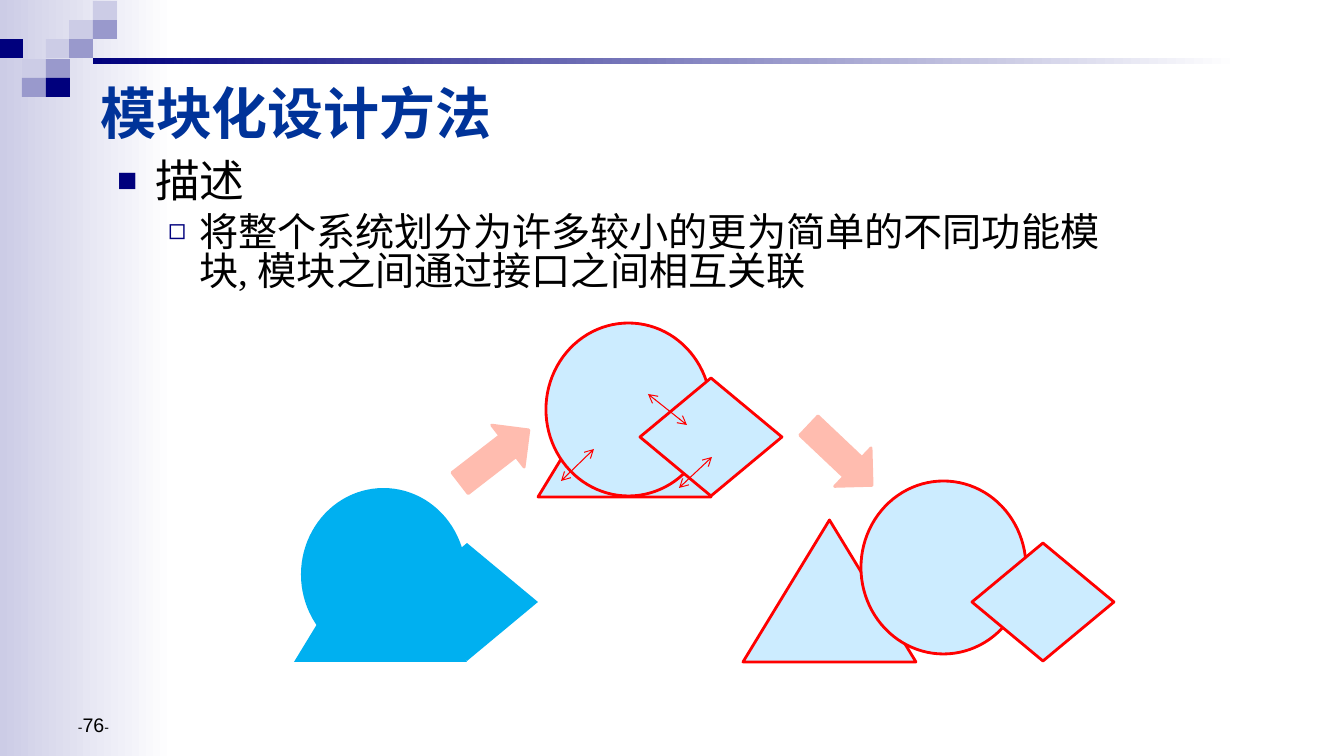
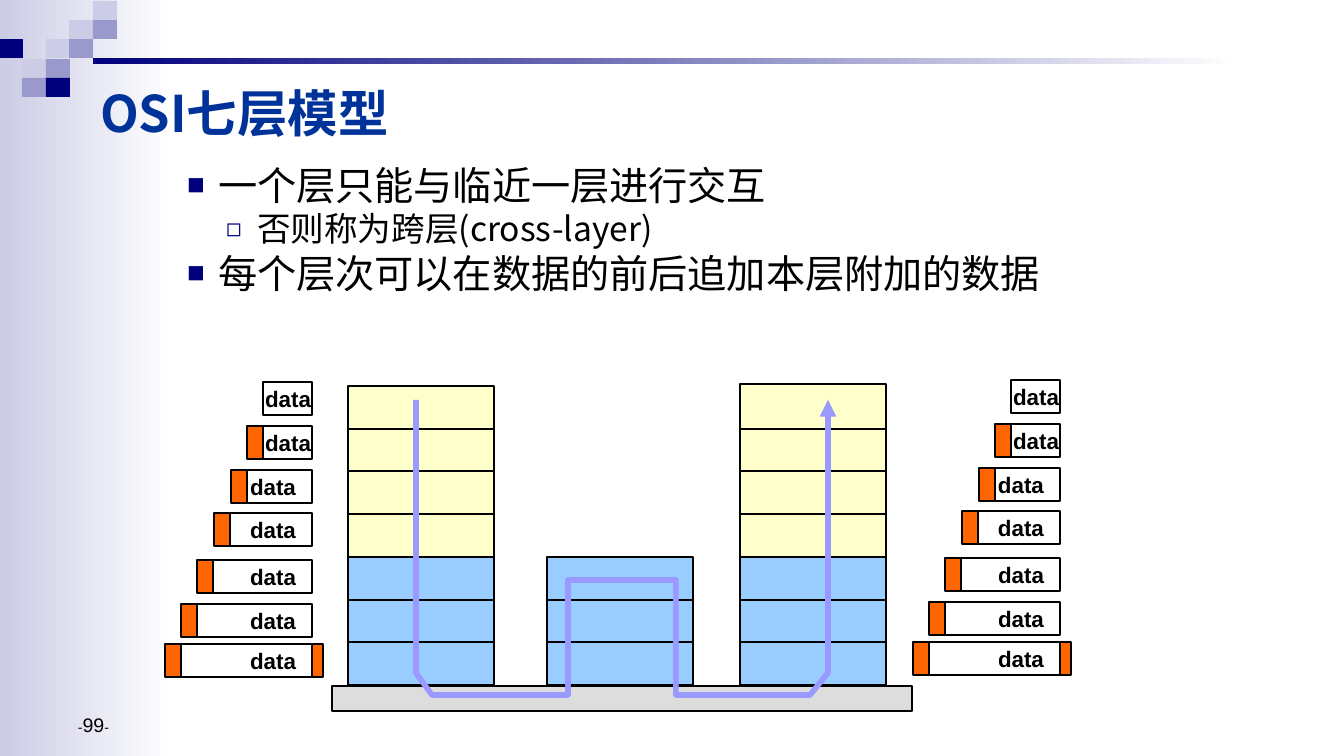
from pptx import Presentation
from pptx import util as u
from pptx.dml.color import RGBColor
from pptx.enum import shapes as sh, text as tx
from pptx.oxml import parse_xml
from pptx.oxml.ns import nsdecls

PX = 914400 / 100.8
NAVY = RGBColor(0x00, 0x00, 0x7D)
MID = RGBColor(0x99, 0x99, 0xCC)
PALE = RGBColor(0xCC, 0xCC, 0xE6)
WHITE = RGBColor(0xFF, 0xFF, 0xFF)
BLACK = RGBColor(0x00, 0x00, 0x00)
TITLE = RGBColor(0x00, 0x33, 0x99)
CYAN = RGBColor(0x00, 0xB0, 0xF0)
ICE = RGBColor(0xCC, 0xEC, 0xFF)
RED = RGBColor(0xFF, 0x00, 0x00)
PINK = RGBColor(0xFF, 0xBC, 0xAF)
CREAM = RGBColor(0xFF, 0xFF, 0xCC)
SKY = RGBColor(0x99, 0xCC, 0xFF)
GREY = RGBColor(0xDD, 0xDD, 0xDD)
ORANGE = RGBColor(0xFF, 0x66, 0x00)
LILAC = RGBColor(0x99, 0x99, 0xFF)
NOTO, TIMES, ARIAL = "Noto Sans CJK SC", "Times New Roman", "Arial"
KIND = sh.MSO_SHAPE
RECT = KIND.RECTANGLE


def box(page, kind, rect, fill=None, line=None, width=1.5):
    """Add a preset shape; a pair of colours makes a gradient to the right."""
    item = page.shapes.add_shape(kind, *[round(v * PX) for v in rect])
    item.shadow.inherit = False
    if isinstance(fill, list):
        item.fill.gradient()
        item.fill.gradient_angle = 0
        for stop, color in zip(item.fill.gradient_stops, fill):
            stop.color.rgb = color
    elif fill is None:
        item.fill.background()
    else:
        item.fill.solid()
        item.fill.fore_color.rgb = fill
    if line is None:
        item.line.fill.background()
    else:
        item.line.color.rgb = line
        item.line.width = u.Pt(width)
    return item


def write(para, words, size, face, color=BLACK, bold=False):
    """Add one run with its Latin and East Asian fonts."""
    run = para.add_run()
    run.text = words
    font = run.font
    font.size, font.name, font.bold = u.Pt(size), face, bold
    font.color.rgb = color
    run.font.fill.solid()
    font.color.rgb = color
    rpr = run.element.xpath("./a:rPr") if hasattr(run, "element") else para.runs[-1]._r.xpath("./a:rPr")
    rpr[0].append(parse_xml(f'<a:ea {nsdecls("a")} typeface="{NOTO}"/>'))


deck = Presentation()
deck.slide_width, deck.slide_height = round(1344 * PX), round(756 * PX)
plan = deck.slide_layouts[1]
parts, layers = [deck.slides.add_slide(plan) for _ in range(2)]

# Shared band, mosaic and rule, moved to the layout
art = [box(parts, RECT, (0, 0, 174, 756), [PALE, WHITE])]
tiles = [(c, 4 - c, PALE) for c in range(1, 5)]
tiles += [(c, 5 - c, MID) for c in range(1, 5)]
tiles += [(0, 2, NAVY), (2, 4, NAVY)]
for col, row, color in tiles:
    spot = (round(23.4 * col - 1), round(1 + 19.2 * row), 24, 19)
    art.append(box(parts, RECT, spot, color))
art.append(box(parts, RECT, (93, 58, 1146, 6), [NAVY, WHITE]))
for num, item in enumerate(art, 20):
    item.element.xpath(".//p:cNvPr")[0].set("id", str(num))
    plan.shapes.element.append(item.element)

# Titles, lists and page numbers: level, words, size, left indent, hanging
pages = [
    (parts, "模块化设计方法", 40, TIMES, "76", (107, 157, 1036, 175), [
        (0, "描述", 32, 38, 38),
        (1, "将整个系统划分为许多较小的更为简单的不同功能模块, 模块之间通过接口之间相互关联",
         28, 82, 31)]),
    (layers, "OSI七层模型", 36, NOTO, "99", (177, 164, 940, 194), [
        (0, "一个层只能与临近一层进行交互", 28, 31, 31),
        (1, "否则称为跨层(cross-layer)", 24, 70, 31),
        (0, "每个层次可以在数据的前后追加本层附加的数据", 28, 31, 31)]),
]
for page, head, size, face, num, rect, items in pages:
    title, body = page.shapes.title, page.placeholders[1]
    for hold, spot in ((title, (90, 76, 920, 72)), (body, rect)):
        hold.left, hold.top, hold.width, hold.height = [round(v * PX) for v in spot]
        hold.text_frame.auto_size = tx.MSO_AUTO_SIZE.NONE
    title.text_frame.vertical_anchor = tx.MSO_ANCHOR.MIDDLE
    para = title.text_frame.paragraphs[0]
    para.alignment = tx.PP_ALIGN.LEFT
    write(para, head, size, face, TITLE, True)

    frame = body.text_frame
    for i, (level, words, size, left, hang) in enumerate(items):
        para = frame.add_paragraph() if i else frame.paragraphs[0]
        para.level = level
        ppr = para._p.get_or_add_pPr()
        ppr.set("marL", str(round(left * PX)))
        ppr.set("indent", str(round(-hang * PX)))
        for mark in (f'buClr {nsdecls("a")}><a:srgbClr val="{NAVY}"/></a:buClr',
                     f'buSzPct {nsdecls("a")} val="75000"/',
                     f'buFont {nsdecls("a")} typeface="{ARIAL}"/',
                     f'buChar {nsdecls("a")} char="{"■◻"[level]}"/'):
            ppr.append(parse_xml(f"<a:{mark}>"))
        para.line_spacing = 0.83
        para.space_before = u.Pt(round(size * 0.2) if i else 0)
        write(para, words, size, face)

    foot = page.shapes.add_textbox(*[round(v * PX) for v in (68, 688, 313, 53)])
    foot.text_frame.word_wrap = True
    foot.text_frame.vertical_anchor = tx.MSO_ANCHOR.BOTTOM
    for words, size in (("-", 10), (num, 14), ("-", 10)):
        write(foot.text_frame.paragraphs[0], words, size, ARIAL)

# Modules: one solid system, joined modules, separate modules
forms = [(KIND.ISOSCELES_TRIANGLE, 173, 142), (KIND.OVAL, 165, 173),
         (KIND.FLOWCHART_DECISION, 142, 118)]
groups = [
    (CYAN, None, [(294, 520), (301, 488), (396, 543)]),
    (ICE, RED, [(538, 355), (546, 323), (640, 378)]),
    (ICE, RED, [(743, 520), (861, 481), (972, 543)]),
]
for fill, line, spots in groups:
    for (kind, w, h), (x, y) in zip(forms, spots):
        box(parts, kind, (x, y, w, h), fill, line, 2)

# Interfaces between the joined modules
for ends in ((648, 394, 687, 425), (561, 481, 594, 449), (679, 488, 712, 457)):
    link = parts.shapes.add_connector(sh.MSO_CONNECTOR.STRAIGHT,
                                      *[round(v * PX) for v in ends])
    link.line.color.rgb = RED
    link.line.width = u.Pt(0.75)
    for end in ("headEnd", "tailEnd"):
        link.element.xpath(".//a:ln")[0].append(
            parse_xml(f'<a:{end} {nsdecls("a")} type="arrow"/>'))
    link.element.xpath("./p:spPr")[0].append(
        parse_xml(f'<a:effectLst {nsdecls("a")}/>'))

# Block arrows
for x, y, turn in ((451, 430, 322.3), (797, 429, 43.4)):
    box(parts, KIND.RIGHT_ARROW, (x, y, 87, 53), PINK, PINK, 2).rotation = turn

# Layer stacks: left, first layer, extra height of the top layer
for x, first, lift in ((348, 0, 0), (547, 4, 0), (740, 0, 2)):
    for i in range(first, 7):
        up = 0 if i else lift
        spot = (x, round(386 + 42.7 * i) - up, 146, 43 + up)
        box(layers, RECT, spot, CREAM if i < 4 else SKY, BLACK)
box(layers, RECT, (332, 686, 580, 25), GREY, BLACK)

# Data units grow by one header a layer
for dx, dy in ((0, 0), (748, -2)):
    for i, y in enumerate((382, 426, 470, 513, 560, 604, 644)):
        x = 263 - round(16.5 * max(i - 1, 0))
        unit = box(layers, RECT, (x + dx, y + dy, 312 - x, 33), None, BLACK)
        frame = unit.text_frame
        frame.word_wrap = True
        frame.margin_left = frame.margin_top = frame.margin_bottom = 0
        frame.margin_right = round((1 if i < 2 else 16) * PX)
        frame.vertical_anchor = tx.MSO_ANCHOR.MIDDLE
        para = frame.paragraphs[0]
        para.alignment = tx.PP_ALIGN.RIGHT
        write(para, "data", 16, ARIAL, BLACK, True)
        if i:
            box(layers, RECT, (x + dx - 16, y + dy, 16, 33), ORANGE, BLACK)
    box(layers, RECT, (312 + dx, y + dy, 11, 33), ORANGE, BLACK)

# Route of the data through the layers
route = [(416, 400), (416, 673), (432, 695), (568, 695), (568, 580),
         (676, 580), (676, 695), (810, 695), (828, 673), (828, 400)]
pen = layers.shapes.build_freeform(*route[0], scale=PX)
pen.add_line_segments(route[1:], close=False)
flow = pen.convert_to_shape()
flow.shadow.inherit = False
flow.fill.background()
flow.line.color.rgb = LILAC
flow.line.width = u.Pt(4)
flow.element.xpath(".//a:ln")[0].append(
    parse_xml(f'<a:tailEnd {nsdecls("a")} type="triangle"/>'))

deck.save("out.pptx")
